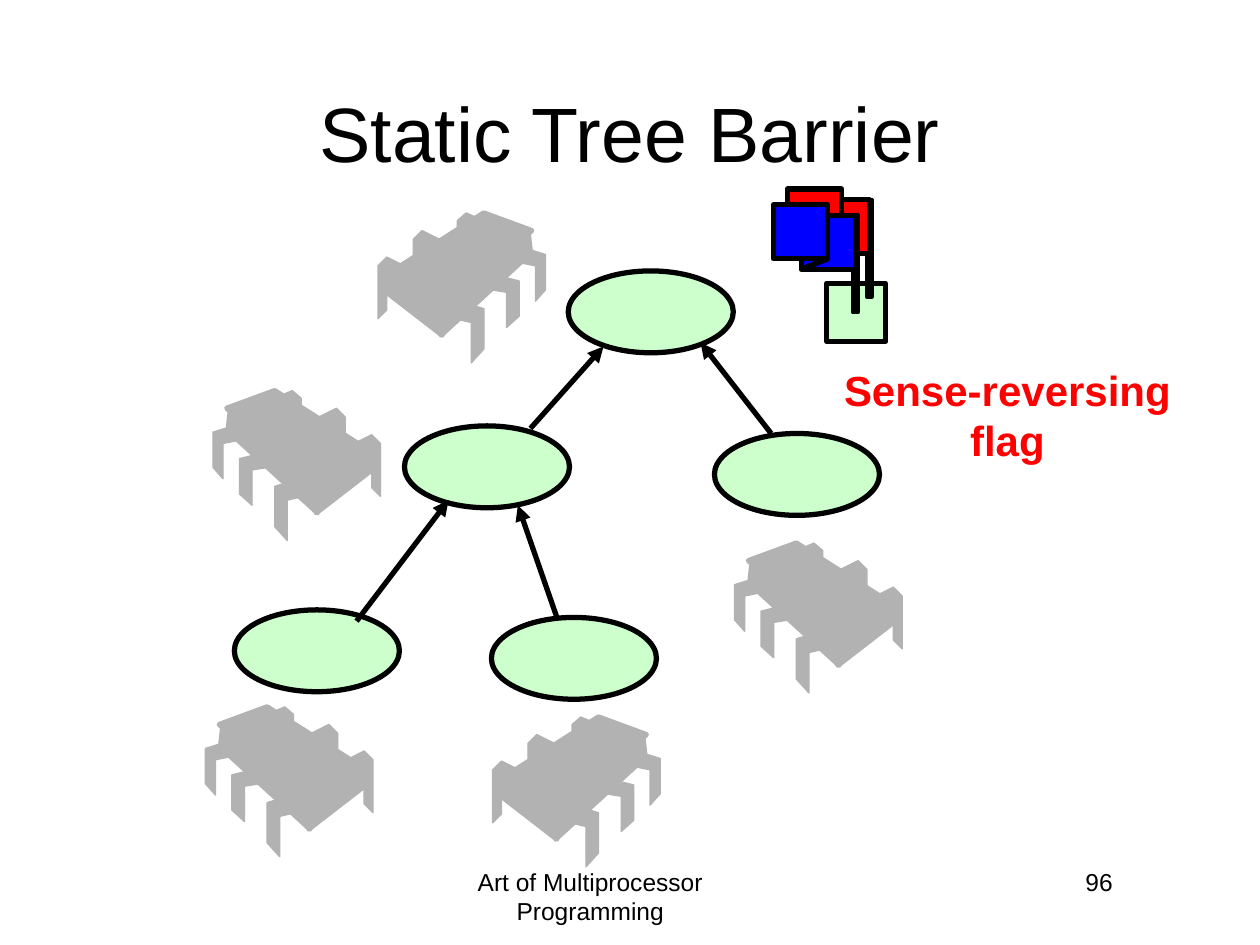
import pptx
import pptx.dml.color
import pptx.enum.shapes
import pptx.enum.text
import pptx.oxml.ns
import pptx.util
from lxml import etree

RGBColor = pptx.dml.color.RGBColor
Align = pptx.enum.text.PP_ALIGN
Anchor = pptx.enum.text.MSO_ANCHOR
Shape = pptx.enum.shapes.MSO_SHAPE

BLACK = RGBColor(0x00, 0x00, 0x00)
RED = RGBColor(0xFF, 0x00, 0x00)
BLUE = RGBColor(0x00, 0x00, 0xFF)
GREEN = RGBColor(0xCC, 0xFF, 0xCC)
GRAY = RGBColor(0xB2, 0xB2, 0xB2)

# The slide is a grid of 100 columns by 75 rows with square cells
COLUMNS, ROWS = 100, 75
CELL = pptx.util.Inches(0.1)

# Chip outlines, in hundredths of an inch within a box of 133 by 119
CHIP_WIDTH = 133
BACK_LEG = [(112, 42), (126, 35), (133, 42), (133, 84), (126, 77), (126, 49), (112, 56)]
THIN, THICK = 0.75, 3
CHIP_PARTS = [
    # back legs
    (BACK_LEG, THIN),
    ([(x - 28, y - 21) for x, y in BACK_LEG], THIN),
    ([(49, 6), (63, 0), (70, 6), (70, 42), (63, 36), (63, 12), (49, 18)], THIN),
    # body: top, front and side
    ([(49, 0), (126, 49), (83, 78), (11, 14)], THICK),
    ([(14, 14), (84, 77), (83, 97), (12, 32)], THICK),
    ([(126, 49), (126, 63), (82, 97), (84, 76)], THICK),
    # front legs
    ([(69, 70), (84, 81), (59, 87), (59, 119), (49, 108), (49, 76)], THIN),
    ([(41, 49), (56, 59), (31, 63), (31, 91), (21, 82), (21, 54)], THIN),
    ([(16, 28), (28, 38), (8, 42), (8, 70), (0, 61), (0, 33)], THIN),
]


def cells(*values):
    return [round(value * CELL) for value in values]


def paint(shape, fill, line, width):
    shape.shadow.inherit = False
    shape.fill.solid()
    shape.fill.fore_color.rgb = fill
    shape.line.color.rgb = line
    shape.line.width = pptx.util.Pt(width)


def add_block(shapes, kind, box, fill, width=3):
    shape = shapes.add_shape(kind, *cells(*box))
    paint(shape, fill, BLACK, width)
    return shape


def add_line(shapes, start, end, arrow=False):
    connector = shapes.add_connector(
        pptx.enum.shapes.MSO_CONNECTOR.STRAIGHT, *cells(*start, *end))
    connector.line.color.rgb = BLACK
    connector.line.width = pptx.util.Pt(3)
    if arrow:
        etree.SubElement(connector.line._get_or_add_ln(),
                         pptx.oxml.ns.qn("a:tailEnd"), type="triangle")
    etree.SubElement(connector._element.spPr, pptx.oxml.ns.qn("a:effectLst"))


def add_text(slide, box, text, size, color=BLACK, align=Align.CENTER,
             anchor=Anchor.TOP, bold=False):
    text_frame = slide.shapes.add_textbox(*cells(*box)).text_frame
    text_frame.word_wrap = True
    text_frame.vertical_anchor = anchor
    text_frame.text = text
    paragraph = text_frame.paragraphs[0]
    paragraph.alignment = align
    font = paragraph.runs[0].font
    font.name = "Arial"
    font.size = pptx.util.Pt(size)
    font.bold = bold
    font.color.rgb = color


def add_flag(slide, left, top, color, crease=False):
    """A pole and two overlapping squares of cloth."""
    shapes = slide.shapes.add_group_shape().shapes
    add_block(shapes, Shape.RECTANGLE, (left + 6.3, top + 0.85, 0.4, 7.7), BLACK, 2.25)
    add_block(shapes, Shape.RECTANGLE, (left + 2.2, top + 0.85, 4.3, 4.3), color)
    if crease:
        add_line(shapes, (left + 2.2, top + 5.1), (left + 4.3, top + 4.3))
    add_block(shapes, Shape.RECTANGLE, (left, top, 4.3, 4.3), color)


def add_sense_flags(slide, left, top):
    """The base with a red flag behind a blue one."""
    add_block(slide.shapes, Shape.RECTANGLE, (left + 4.2, top + 7.5, 4.7, 4.6), GREEN)
    add_flag(slide, left + 1.1, top, RED)
    add_flag(slide, left, top + 1.25, BLUE, crease=True)


def add_tree(slide, left, top):
    """Five nodes, with an arrow from each child to its parent."""
    for x, y in [(26.5, 0), (0, 26.9), (13.5, 12.3), (20.4, 27.5), (38.1, 12.9)]:
        add_block(slide.shapes, Shape.OVAL, (left + x, top + y, 13.1, 6.5), GREEN)
    arrows = [
        ((23.5, 12.5), (29.3, 6)),
        ((9.7, 27.8), (17, 18.2)),
        ((25.6, 27.5), (22.5, 18.6)),
        ((42.6, 12.9), (37, 5.7)),
    ]
    for child, parent in arrows:
        start, end = ((left + x, top + y) for x, y in (child, parent))
        add_line(slide.shapes, start, end, arrow=True)


def add_chip(slide, left, top, mirrored=False):
    shapes = slide.shapes.add_group_shape().shapes
    for outline, width in CHIP_PARTS:
        points = [(CHIP_WIDTH - x if mirrored else x, y) for x, y in outline]
        builder = shapes.build_freeform(*points[0], scale=CELL / 10)
        builder.add_line_segments(points[1:], close=True)
        paint(builder.convert_to_shape(*cells(left, top)), GRAY, GRAY, width)


def add_footer(slide, top):
    add_text(slide, (31, top, 31.7, 5), "Art of Multiprocessor Programming", 14)
    add_text(slide, (68.5, top, 20.8, 5), "96", 14, align=Align.RIGHT)


def main():
    presentation = pptx.Presentation()
    presentation.slide_width = COLUMNS * CELL
    presentation.slide_height = ROWS * CELL
    slide = presentation.slides.add_slide(presentation.slide_layouts[6])

    add_text(slide, (7.5, 4.2, 85, 12.5), "Static Tree Barrier", 44,
             anchor=Anchor.MIDDLE)
    add_tree(slide, 18.6, 21.5)
    add_sense_flags(slide, 61.4, 15)

    # One processor beside each node
    for left, top, mirrored in [(16.3, 56.1, False), (39.1, 56.9, True),
                                (30, 16.9, True), (58.3, 43.1, False),
                                (16.9, 31, False)]:
        add_chip(slide, left, top, mirrored)

    add_text(slide, (62.7, 28.4, 34.5, 9), "Sense-reversing flag", 24, RED, bold=True)
    add_footer(slide, 68.3)
    presentation.save("out.pptx")


if __name__ == "__main__":
    main()
